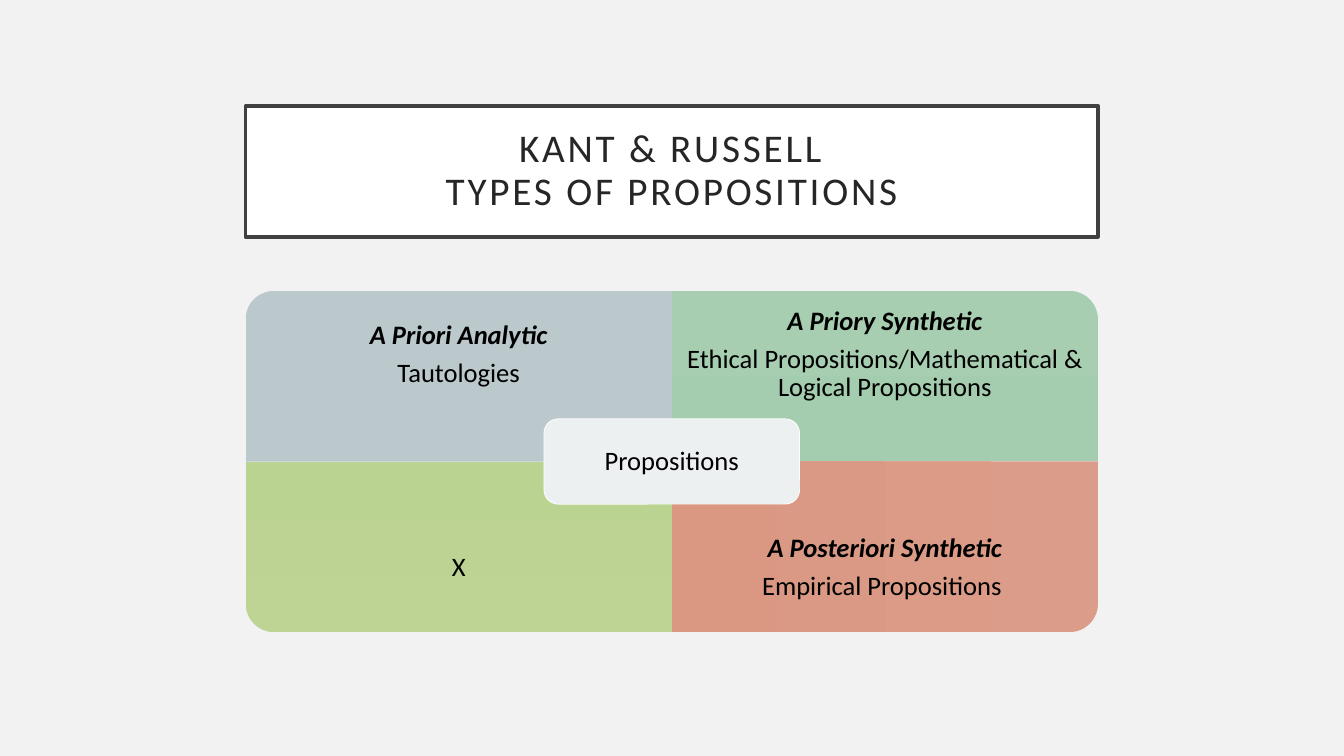
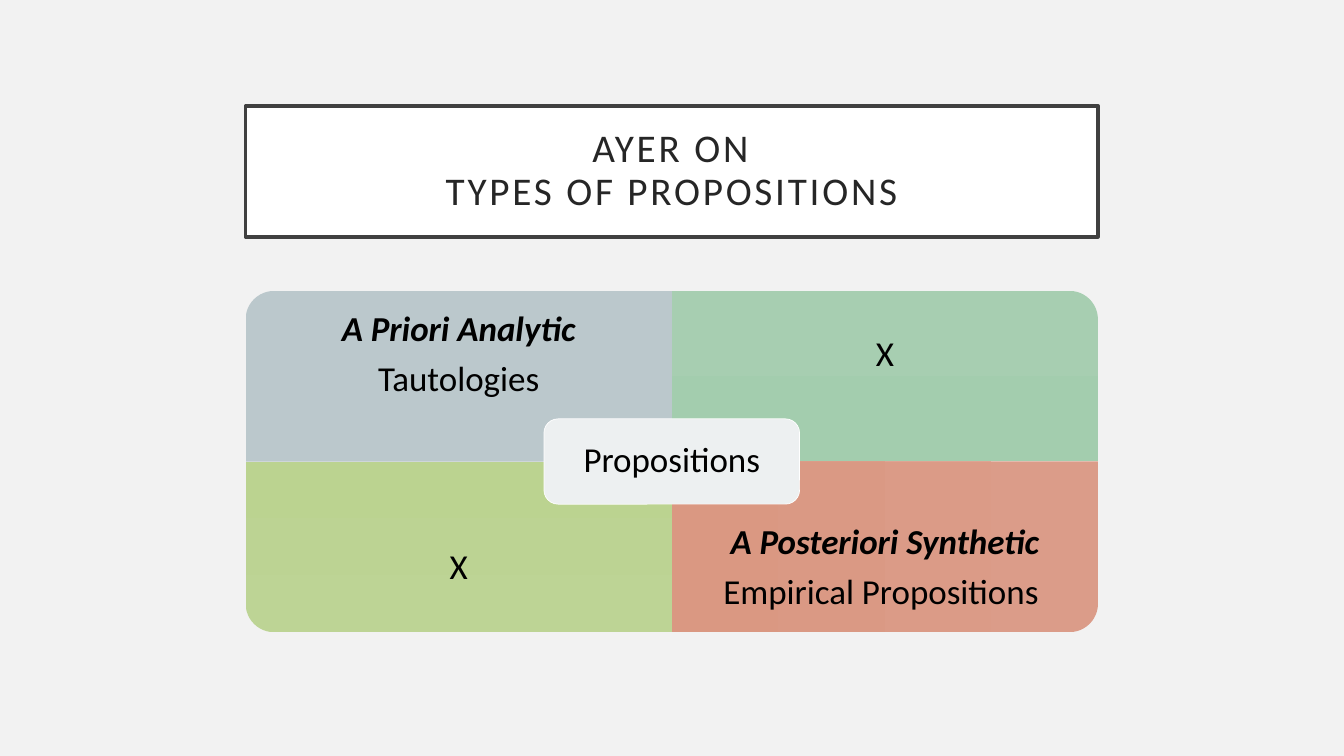
from pptx import Presentation
from pptx.dml.color import RGBColor
from pptx.enum.shapes import MSO_SHAPE
from pptx.enum.text import MSO_ANCHOR, PP_ALIGN
from pptx.util import Cm, Pt

BACKGROUND = RGBColor(0xF2, 0xF2, 0xF2)
WHITE = RGBColor(0xFF, 0xFF, 0xFF)
BLACK = RGBColor(0x00, 0x00, 0x00)
TITLE_BORDER = RGBColor(0x40, 0x40, 0x40)
TITLE_TEXT = RGBColor(0x26, 0x26, 0x26)
GREY_BLUE = RGBColor(0xBB, 0xC8, 0xCC), RGBColor(0xB8, 0xC6, 0xCB)
GREEN = RGBColor(0xA7, 0xCE, 0xB1), RGBColor(0xA3, 0xCD, 0xAE)
LIME = RGBColor(0xBD, 0xD4, 0x95), RGBColor(0xBB, 0xD3, 0x90)
CORAL = RGBColor(0xDB, 0x9C, 0x89), RGBColor(0xDA, 0x98, 0x82)
PALE = RGBColor(0xED, 0xF0, 0xF1), RGBColor(0xEC, 0xEF, 0xF0)
FONT = "Calibri"

CENTER_X, CENTER_Y = 16.93, 11.63
QUADRANT_WIDTH, QUADRANT_HEIGHT = 10.74, 4.3
LABEL_HEIGHT = 0.75 * QUADRANT_HEIGHT
HUB_WIDTH, HUB_HEIGHT = 0.6 * QUADRANT_WIDTH, 0.5 * QUADRANT_HEIGHT
LEFT, TOP = CENTER_X - QUADRANT_WIDTH, CENTER_Y - QUADRANT_HEIGHT

QUADRANTS = [
    (0, 0, 270, GREY_BLUE),
    (1, 0, 0, GREEN),
    (0, 1, 180, LIME),
    (1, 1, 90, CORAL),
]

ANALYTIC = "A Priori Analytic\nTautologies"
EMPIRICAL = "A Posteriori Synthetic\nEmpirical Propositions "
SYNTHETIC = "A Priory Synthetic\nEthical Propositions/Mathematical & Logical Propositions"
PAGES = [
    ("KANT & RUSSELL\vTYPES OF PROPOSITIONS", 19, 0.37,
     [ANALYTIC, SYNTHETIC, "X", EMPIRICAL]),
    ("AYER ON\vTYPES OF PROPOSITIONS", 25, 0.49,
     [ANALYTIC, "X", "X", EMPIRICAL]),
]


def write_text(box, text, size, margin, color=BLACK, gap=0.35):
    frame = box.text_frame
    frame.text = text
    frame.word_wrap = True
    frame.vertical_anchor = MSO_ANCHOR.MIDDLE
    frame.margin_left = frame.margin_right = Cm(margin)
    frame.margin_top = frame.margin_bottom = Cm(margin)
    has_heading = len(frame.paragraphs) > 1
    for index, para in enumerate(frame.paragraphs):
        para.alignment = PP_ALIGN.CENTER
        para.line_spacing = 0.9
        para.space_after = Pt(gap * size)
        for span in para.runs:
            span.font.name = FONT
            span.font.size = Pt(size)
            span.font.color.rgb = color
            span.font.bold = span.font.italic = has_heading and index == 0


def add_gradient_shape(page, kind, left, top, width, height, colors):
    shape = page.shapes.add_shape(kind, Cm(left), Cm(top), Cm(width), Cm(height))
    shape.shadow.inherit = False
    shape.line.fill.background()
    shape.fill.gradient()
    shape.fill.gradient_angle = 270
    for stop, color in zip(shape.fill.gradient_stops, colors):
        stop.color.rgb = color
    return shape


deck = Presentation()
deck.slide_width, deck.slide_height = Cm(33.87), Cm(19.05)
backdrop = deck.slide_master.background.fill
backdrop.solid()
backdrop.fore_color.rgb = BACKGROUND

for heading, size, margin, labels in PAGES:
    page = deck.slides.add_slide(deck.slide_layouts[6])

    title = page.shapes.add_shape(
        MSO_SHAPE.RECTANGLE, Cm(LEFT), Cm(2.67), Cm(2 * QUADRANT_WIDTH), Cm(3.3))
    title.shadow.inherit = False
    title.fill.solid()
    title.fill.fore_color.rgb = WHITE
    title.line.color.rgb = TITLE_BORDER
    title.line.width = Pt(2.5)
    write_text(title, heading, 28, 0.5, TITLE_TEXT, 0)
    for span in title.text_frame.paragraphs[0].runs:
        span.font._element.set("spc", "200")

    for (column, row, rotation, colors), label in zip(QUADRANTS, labels):
        left = LEFT + column * QUADRANT_WIDTH
        top = TOP + row * QUADRANT_HEIGHT
        turned = rotation in (90, 270)
        width, height = QUADRANT_WIDTH, QUADRANT_HEIGHT
        if turned:
            width, height = height, width
        quadrant = add_gradient_shape(
            page, MSO_SHAPE.ROUND_1_RECTANGLE,
            left + (QUADRANT_WIDTH - width) / 2,
            top + (QUADRANT_HEIGHT - height) / 2,
            width, height, colors)
        quadrant.rotation = rotation

        label_top = top + row * (QUADRANT_HEIGHT - LABEL_HEIGHT)
        box = page.shapes.add_textbox(
            Cm(left), Cm(label_top), Cm(QUADRANT_WIDTH), Cm(LABEL_HEIGHT))
        write_text(box, label, size, margin)

    hub = add_gradient_shape(
        page, MSO_SHAPE.ROUNDED_RECTANGLE,
        CENTER_X - HUB_WIDTH / 2, CENTER_Y - HUB_HEIGHT / 2,
        HUB_WIDTH, HUB_HEIGHT, PALE)
    hub.line.color.rgb = WHITE
    hub.line.width = Pt(0.5)
    write_text(hub, "Propositions", size, margin / 2)

deck.save("out.pptx")
